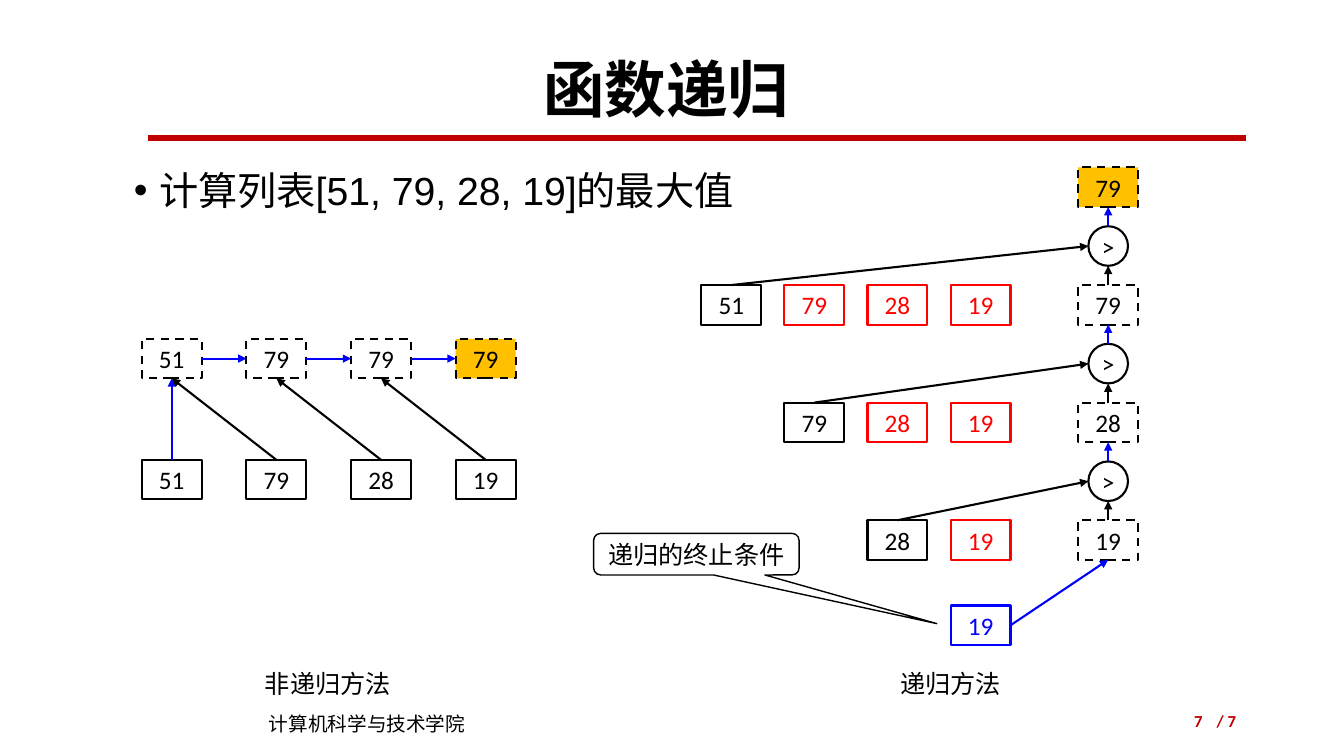
from lxml.etree import SubElement
from pptx import Presentation
from pptx.dml.color import RGBColor
from pptx.enum.dml import MSO_LINE as Dash
from pptx.enum.shapes import MSO_CONNECTOR as Connector, MSO_SHAPE as Shape
from pptx.enum.text import MSO_ANCHOR as Anchor, PP_ALIGN as Align
from pptx.oxml.ns import qn
from pptx.util import Pt

BLACK, WHITE, RED, BLUE = "000000", "FFFFFF", "FF0000", "0000FF"
GOLD, CRIMSON = "FFC000", "C00000"
TOP, LEFT, BOTTOM, RIGHT = range(4)
CELL_W, CELL_H = 42.8, 28.3
NUMBERS = ["51", "79", "28", "19"]


def rgb(value):
    """Turn a hex string into a colour."""
    return RGBColor.from_string(value)


def write(frame, text, size, color=BLACK, font="Calibri", bold=False,
          align=Align.CENTER, anchor=Anchor.MIDDLE, wrap=True):
    """Fill a text frame with one formatted paragraph."""
    frame.text = text
    frame.word_wrap = wrap
    frame.vertical_anchor = anchor
    paragraph = frame.paragraphs[0]
    paragraph.alignment = align
    for run in paragraph.runs:
        run.font.size, run.font.bold, run.font.name = Pt(size), bold, font
        run.font.color.rgb = rgb(color)
        SubElement(run.font._element, qn("a:ea"), typeface="Noto Sans CJK SC")
    return paragraph


def add_label(slide, area, text, size, **style):
    """Add a text box over the given area."""
    label = slide.shapes.add_textbox(*map(Pt, area))
    return write(label.text_frame, text, size, **style)


def add_figure(slide, kind, area, text, color=BLACK, fill=WHITE, width=1.5, dashed=False):
    """Add an outlined shape with centred text."""
    figure = slide.shapes.add_shape(kind, *map(Pt, area))
    figure.shadow.inherit = False
    figure.fill.solid()
    figure.fill.fore_color.rgb = rgb(fill)
    figure.line.color.rgb = rgb(color)
    figure.line.width = Pt(width)
    if dashed:
        figure.line.dash_style = Dash.DASH
    frame = figure.text_frame
    frame.margin_left = frame.margin_right = frame.margin_top = frame.margin_bottom = 0
    write(frame, text, 18, color)
    return figure


def add_cell(slide, x, y, text, **style):
    """Add one list cell."""
    return add_figure(slide, Shape.RECTANGLE, (x, y, CELL_W, CELL_H), text, **style)


def add_line(slide, start, end, color, width):
    """Add a straight line without a shadow."""
    line = slide.shapes.add_connector(Connector.STRAIGHT, *start, *end)
    line.line.color.rgb = rgb(color)
    line.line.width = Pt(width)
    SubElement(line._element.spPr, qn("a:effectLst"))
    return line


def side_middle(figure, side):
    """Return the middle point of a side of a shape."""
    x, y, w, h = figure.left, figure.top, figure.width, figure.height
    return {TOP: (x + w // 2, y), LEFT: (x, y + h // 2),
            BOTTOM: (x + w // 2, y + h), RIGHT: (x + w, y + h // 2)}[side]


def add_arrow(slide, source, source_side, target, target_side, color=BLACK):
    """Draw an arrow between the sides of two shapes."""
    arrow = add_line(slide, side_middle(source, source_side),
                     side_middle(target, target_side), color, 1.5)
    SubElement(arrow.line._get_or_add_ln(), qn("a:tailEnd"), type="triangle")
    if source.auto_shape_type == Shape.RECTANGLE:
        arrow.begin_connect(source, source_side)
    if target.auto_shape_type == Shape.RECTANGLE:
        arrow.end_connect(target, target_side)


def add_topic(slide):
    """Add the bulleted topic sentence."""
    topic = add_label(slide, (88.6, 115.2, 801.4, 370.8), "计算列表[51, 79, 28, 19]的最大值",
                      28, font="Arial", align=Align.JUSTIFY, anchor=Anchor.TOP)
    properties = topic._p.get_or_add_pPr()
    properties.set("marL", str(Pt(18)))
    properties.set("indent", str(-Pt(18)))
    SubElement(properties, qn("a:buFont"), typeface="Arial")
    SubElement(properties, qn("a:buChar"), char="•")


def add_iteration(slide):
    """Draw the running maximum over the list."""
    columns = [101.3 + 74.75 * i for i in range(4)]
    items = [add_cell(slide, x, 328.5, n) for x, n in zip(columns, NUMBERS)]
    maxima = [add_cell(slide, x, 242, n, fill=fill, dashed=True) for x, n, fill in
              zip(columns, ["51", "79", "79", "79"], [WHITE, WHITE, WHITE, GOLD])]
    add_arrow(slide, items[0], TOP, maxima[0], BOTTOM, BLUE)
    for previous, item, following in zip(maxima, items[1:], maxima[1:]):
        add_arrow(slide, item, TOP, previous, BOTTOM)
        add_arrow(slide, previous, RIGHT, following, LEFT, BLUE)


def add_recursion(slide):
    """Draw the recursive calls and the maxima they return."""
    columns = [501 + 59.35 * i for i in range(4)]
    levels = [119.6 + 84 * i for i in range(4)]
    result_x = 770.2
    results = [add_cell(slide, result_x, y, n, fill=fill, dashed=True) for y, n, fill in
               zip(levels, ["79", "79", "28", "19"], [GOLD, WHITE, WHITE, WHITE])]
    for depth, y in enumerate(levels[1:]):
        head = add_cell(slide, columns[depth], y, NUMBERS[depth])
        for x, n in zip(columns[depth + 1:], NUMBERS[depth + 1:]):
            add_cell(slide, x, y, n, color=RED)
        comparison = add_figure(slide, Shape.OVAL, (result_x + (CELL_W - CELL_H) / 2, y - 42,
                                                    CELL_H, CELL_H), ">")
        add_arrow(slide, head, TOP, comparison, LEFT)
        add_arrow(slide, results[depth + 1], TOP, comparison, BOTTOM)
        add_arrow(slide, comparison, TOP, results[depth], BOTTOM, BLUE)
    base_case = add_cell(slide, columns[3], 432.5, NUMBERS[3], color=BLUE)
    add_arrow(slide, base_case, RIGHT, results[3], BOTTOM, BLUE)
    callout = add_figure(slide, Shape.ROUNDED_RECTANGULAR_CALLOUT, (424, 381, 146.8, 29.7),
                         "递归的终止条件", width=1)
    for index, value in enumerate([1.17, 1.67, 0.17]):
        callout.adjustments[index] = value


def main():
    """Build and save the slide."""
    deck = Presentation()
    deck.slide_width, deck.slide_height = Pt(960), Pt(540)
    slide = deck.slides.add_slide(deck.slide_layouts[6])
    add_label(slide, (62, 28.8, 828, 67.7), "函数递归", 44, bold=True)
    add_line(slide, (Pt(106), Pt(98.8)), (Pt(890), Pt(98.8)), CRIMSON, 4.5)
    add_topic(slide)
    add_iteration(slide)
    add_recursion(slide)
    for area, method in [((182.2, 473.8, 105, 29), "非递归方法"),
                         ((635.8, 473.8, 87, 29), "递归方法")]:
        add_label(slide, area, method, 18, align=Align.LEFT, anchor=Anchor.TOP, wrap=False)
    add_label(slide, (185, 504.7, 210.2, 24.5), "计算机科学与技术学院", 14,
              font="Noto Sans CJK SC", align=Align.LEFT, anchor=Anchor.TOP)
    for area, number in [((678.2, 500.4, 188, 28.8), "7"), ((836, 500.4, 54, 28.8), "/ 7")]:
        add_label(slide, area, number, 12, color=CRIMSON, bold=True, align=Align.RIGHT)
    deck.save("out.pptx")


if __name__ == "__main__":
    main()
